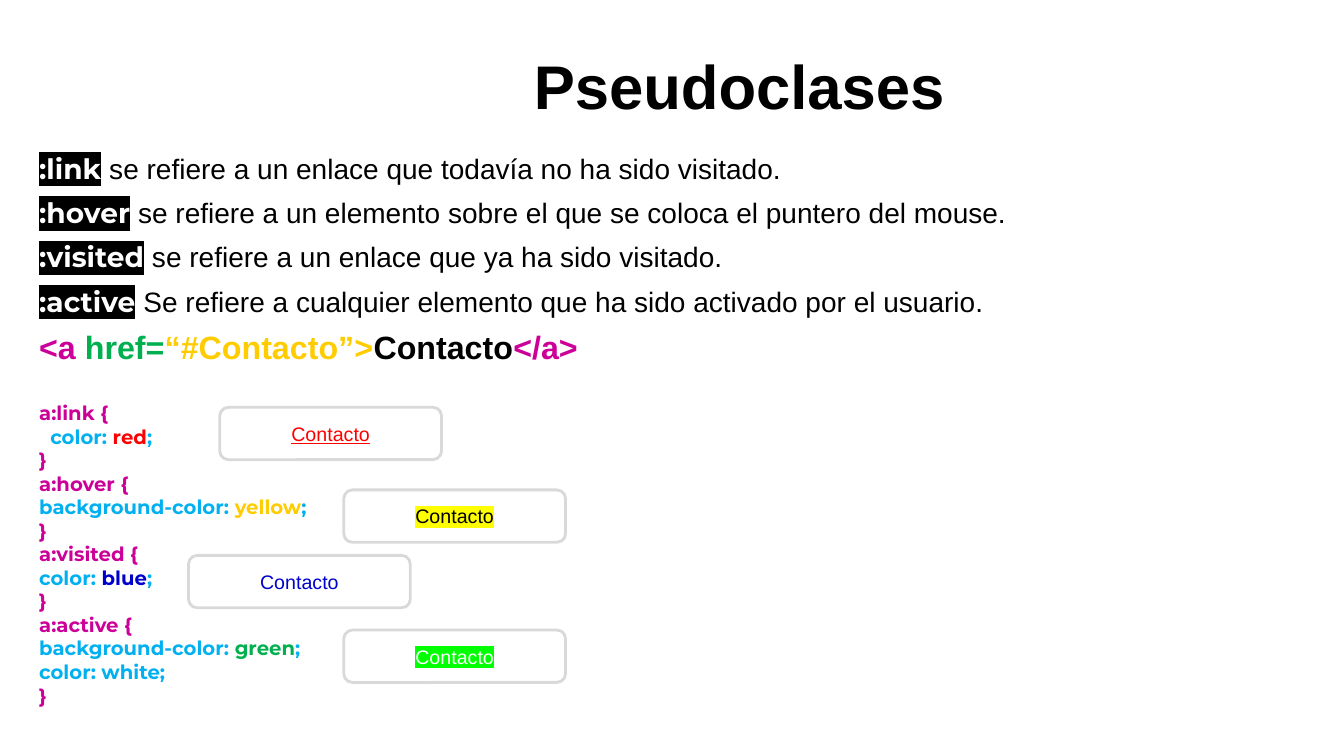
from pptx import Presentation
from pptx.dml.color import RGBColor
from pptx.enum.shapes import MSO_SHAPE
from pptx.enum.text import MSO_ANCHOR, MSO_AUTO_SIZE, PP_ALIGN
from pptx.oxml import parse_xml
from pptx.oxml.ns import nsdecls
from pptx.util import Pt

ROUND = MSO_SHAPE.ROUNDED_RECTANGLE
MIDDLE = MSO_ANCHOR.MIDDLE
FIXED = MSO_AUTO_SIZE.NONE
LEFT, CENTER = PP_ALIGN.LEFT, PP_ALIGN.CENTER
PX = 9144  # 100 px to the inch

THEME = {
    "sans": "Arial", "mono": "Montserrat",
    "title": 44, "body": 20, "tag": 23, "code": 14,
    "black": "000000", "white": "FFFFFF", "gray": "D9D9D9",
    "pink": "CC0099", "sky": "00B0F0", "green": "00B050",
    "gold": "FFCC00", "red": "FF0000", "blue": "0000CC",
    "yellow": "FFFF00", "lime": "00FF00",
}


def box(left, top, width, height):
    return [n * PX for n in (left, top, width, height)]


def write(para, text, size="code", font="sans", color="black", bold=False,
          under=False, mark=None):
    """Add one run to para; mark is the highlight colour."""
    run = para.add_run()
    run.text = text
    face = run.font
    face.size, face.bold = Pt(THEME[size]), bold
    if under:
        face.underline = True
    face.color.rgb = RGBColor.from_string(THEME[color])
    if mark:
        fill = run._r.rPr.find("{*}solidFill")
        fill.addnext(parse_xml(
            f'<a:highlight {nsdecls("a")}><a:srgbClr val="{THEME[mark]}"/>'
            '</a:highlight>'))
    face.name = THEME[font]


deck = Presentation()
deck.slide_width, deck.slide_height = 1333 * PX, 750 * PX
slide = deck.slides.add_slide(deck.slide_layouts[5])
shapes = slide.shapes

# Title
title = shapes.title
title.left, title.top, title.width, title.height = box(67, 42, 1333, 84)
frame = title.text_frame
frame.auto_size, frame.vertical_anchor = FIXED, MIDDLE
para = frame.paragraphs[0]
para.alignment = CENTER
write(para, "Pseudoclases", size="title", bold=True)

# Definitions, then the sample tag
TERMS = [
    (":link", "se refiere a un enlace que todavía no ha sido visitado."),
    (":hover", "se refiere a un elemento sobre el que se coloca el puntero del mouse."),
    (":visited", "se refiere a un enlace que ya ha sido visitado."),
    (":active", "Se refiere a cualquier elemento que ha sido activado por el usuario."),
]
TAG = [("<a ", "pink"), ("href=", "green"), ("“#Contacto”>", "gold"),
       ("Contacto", "black"), ("</a>", "pink")]

frame = shapes.add_textbox(*box(29, 149, 1304, 601)).text_frame
frame.word_wrap = True
for i, (term, sense) in enumerate(TERMS):
    para = frame.add_paragraph() if i else frame.paragraphs[0]
    para.line_spacing = 0.9
    if i:
        para.space_before = Pt(10)
    write(para, term, size="body", font="mono", color="white", bold=True,
          mark="black")
    write(para, " ", size="body", font="mono", color="white", bold=True)
    write(para, sense, size="body")
para = frame.add_paragraph()
para.line_spacing, para.space_before = 0.9, Pt(10)
for text, color in TAG:
    write(para, text, size="tag", color=color, bold=True)

# Style rules: selector, then (property, value, value colour)
RULES = [
    ("a:link", [("  color: ", "red", "red")]),
    ("a:hover", [("background-color: ", "yellow", "gold")]),
    ("a:visited", [("color: ", "blue", "blue")]),
    ("a:active", [("background-color: ", "green", "green"),
                  ("color: ", "white", "sky")]),
]
lines = []
for name, props in RULES:
    lines.append([(name + " {", "pink")])
    for prop, value, color in props:
        lines.append([(prop, "sky"), (value, color), (";", "sky")])
    lines.append([("}", "pink")])

frame = shapes.add_textbox(*box(29, 393, 378, 374)).text_frame
frame.word_wrap = True
for i, line in enumerate(lines):
    para = frame.add_paragraph() if i else frame.paragraphs[0]
    para.alignment = LEFT
    for text, color in line:
        write(para, text, font="mono", color=color, bold=True)

# Result of each rule
LINKS = [
    (218, 404, {"color": "red", "under": True}),
    (341, 486, {"mark": "yellow"}),
    (187, 551, {"color": "blue"}),
    (341, 625, {"color": "white", "mark": "lime"}),
]
for left, top, style in LINKS:
    link = shapes.add_shape(ROUND, *box(left, top, 220, 52))
    link.shadow.inherit = False
    link.fill.solid()
    link.fill.fore_color.rgb = RGBColor.from_string(THEME["white"])
    link.line.color.rgb = RGBColor.from_string(THEME["gray"])
    link.line.width = Pt(2)
    link.text_frame.vertical_anchor = MIDDLE
    para = link.text_frame.paragraphs[0]
    para.alignment = CENTER
    write(para, "Contacto", **style)

deck.save("out.pptx")
